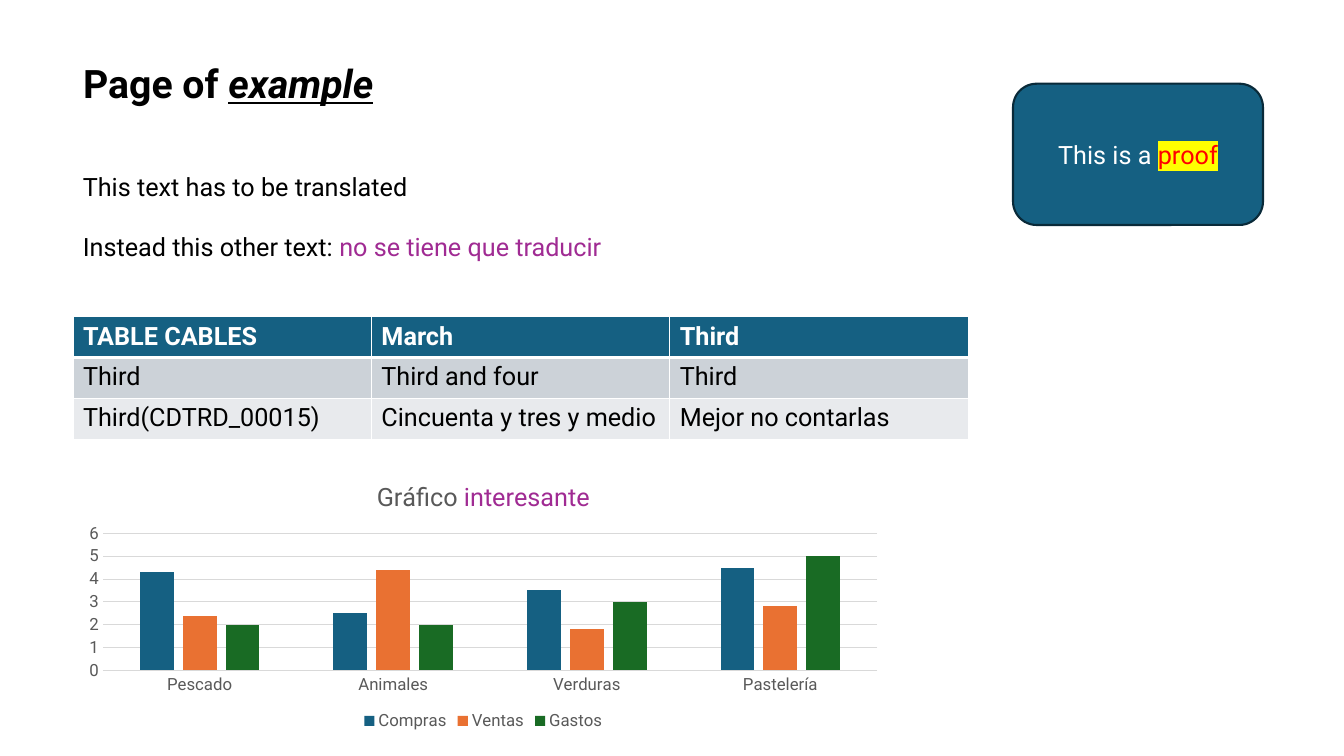
from lxml import etree
from pptx import Presentation
from pptx.chart.data import CategoryChartData
from pptx.dml.color import RGBColor
from pptx.enum.chart import XL_CHART_TYPE, XL_LEGEND_POSITION, XL_TICK_MARK
from pptx.enum.shapes import MSO_SHAPE
from pptx.enum.text import MSO_ANCHOR, MSO_AUTO_SIZE, PP_ALIGN
from pptx.oxml.ns import qn
from pptx.util import Cm, Pt

COLUMNS = XL_CHART_TYPE.COLUMN_CLUSTERED
LEGEND_BOTTOM = XL_LEGEND_POSITION.BOTTOM
NO_TICKS = XL_TICK_MARK.NONE
ROUNDED = MSO_SHAPE.ROUNDED_RECTANGLE
TOP, MIDDLE = MSO_ANCHOR.TOP, MSO_ANCHOR.MIDDLE
LEFT, CENTER = PP_ALIGN.LEFT, PP_ALIGN.CENTER
FIXED = MSO_AUTO_SIZE.NONE

FONT = "Roboto"
BLACK, WHITE, BLUE, PURPLE = "000000", "FFFFFF", "156082", "A02B93"
GRAY, GRID = "595959", "D9D9D9"

TITLE = [("Page of ", BLACK), ("example", BLACK)]
LINES = [
    [("This text has to be translated", BLACK)],
    [("Instead this other text: ", BLACK), ("no se tiene que traducir", PURPLE)],
]
BADGE = [("This is a ", WHITE), ("proof", "FF0000")]
ROWS = [
    ("TABLE CABLES", "March", "Third"),
    ("Third", "Third and four", "Third"),
    ("Third(CDTRD_00015)", "Cincuenta y tres y medio", "Mejor no contarlas"),
]
ROW_FILLS = [BLUE, "CCD2D8", "E8EAED"]
CHART_TITLE = [("Gráfico ", GRAY), ("interesante", PURPLE)]
CATEGORIES = ["Pescado", "Animales", "Verduras", "Pastelería"]
SERIES = [
    ("Compras", BLUE, (4.3, 2.5, 3.5, 4.5)),
    ("Ventas", "E97132", (2.4, 4.4, 1.8, 2.8)),
    ("Gastos", "196B24", (2, 2, 3, 5)),
]

MARGIN = Cm(1.84)
COLUMN_WIDTH, ROW_HEIGHT = Cm(7.52), Cm(1.03)


def color(value):
    return RGBColor.from_string(value)


def style(font, size, value, bold=False):
    font.name = FONT
    font.size = Pt(size)
    font.bold = bold
    font.color.rgb = color(value)


def write(para, spans, size=18, bold=False):
    for text, value in spans:
        span = para.add_run()
        span.text = text
        style(span.font, size, value, bold)
    return span


def highlight(span, value):
    mark = etree.Element(qn("a:highlight"))
    etree.SubElement(mark, qn("a:srgbClr"), val=value)
    span.font.fill._xPr.find(qn("a:solidFill")).addnext(mark)


def border(cell, widths):
    properties = cell._tc.get_or_add_tcPr()
    for index, (side, width) in enumerate(widths.items()):
        line = etree.Element(qn("a:ln" + side), w=str(Pt(width)))
        fill = etree.SubElement(line, qn("a:solidFill"))
        etree.SubElement(fill, qn("a:srgbClr"), val=WHITE)
        properties.insert(index, line)


def add_title(page):
    title = page.shapes.title
    title.left, title.top, title.width, title.height = MARGIN, Cm(1.37), Cm(8.81), Cm(1.45)
    frame = title.text_frame
    frame.auto_size = FIXED
    frame.vertical_anchor = TOP
    para = frame.paragraphs[0]
    para.alignment = LEFT
    example = write(para, TITLE, 28, True)
    example.font.italic = True
    example.font.underline = True


def add_lines(page):
    box = page.shapes.add_textbox(MARGIN, Cm(4.19), Cm(14.3), Cm(3.33))
    frame = box.text_frame
    frame.word_wrap = True
    for index, spans in enumerate(LINES):
        para = frame.add_paragraph() if index else frame.paragraphs[0]
        para.space_before = Pt(21.5 if index else 0)
        write(para, spans)


def add_badge(page):
    badge = page.shapes.add_shape(ROUNDED, Cm(25.53), Cm(2.11), Cm(6.3), Cm(3.56))
    badge.shadow.inherit = False
    badge.fill.solid()
    badge.fill.fore_color.rgb = color(BLUE)
    badge.line.color.rgb = color("092A39")
    badge.line.width = Pt(1.5)
    badge.text_frame.vertical_anchor = MIDDLE
    para = badge.text_frame.paragraphs[0]
    para.alignment = CENTER
    highlight(write(para, BADGE), "FFFF00")


def add_cables_table(page):
    count = len(ROWS[0])
    table = page.shapes.add_table(
        len(ROWS), count, MARGIN, Cm(7.98), COLUMN_WIDTH * count, ROW_HEIGHT * len(ROWS)
    ).table
    for column in table.columns:
        column.width = COLUMN_WIDTH
    for row, texts in enumerate(ROWS):
        table.rows[row].height = ROW_HEIGHT
        header = row == 0
        for column, text in enumerate(texts):
            cell = table.cell(row, column)
            cell.fill.solid()
            cell.fill.fore_color.rgb = color(ROW_FILLS[row])
            border(cell, {"L": 1, "R": 1, "T": 3 if row == 1 else 1, "B": 3 if header else 1})
            write(cell.text_frame.paragraphs[0], [(text, WHITE if header else BLACK)], bold=header)


def add_spending_chart(page):
    data = CategoryChartData()
    data.categories = CATEGORIES
    for name, _, values in SERIES:
        data.add_series(name, values)
    chart = page.shapes.add_chart(COLUMNS, MARGIN, Cm(11.79), Cm(20.68), Cm(6.73), data).chart
    style(chart.font, 12, GRAY)
    chart.has_title = True
    write(chart.chart_title.text_frame.paragraphs[0], CHART_TITLE)
    chart.chart_title.include_in_layout = False
    chart.has_legend = True
    chart.legend.position = LEGEND_BOTTOM
    chart.legend.include_in_layout = False
    style(chart.legend.font, 12, GRAY)

    plot = chart.plots[0]
    plot.gap_width = 219
    plot.overlap = -27
    plot.vary_by_categories = False
    for series, (_, value, _) in zip(plot.series, SERIES):
        series.format.fill.solid()
        series.format.fill.fore_color.rgb = color(value)
        series.invert_if_negative = False

    for axis in (chart.category_axis, chart.value_axis):
        axis.major_tick_mark = NO_TICKS
        axis.minor_tick_mark = NO_TICKS
        style(axis.tick_labels.font, 12, GRAY)
    scale = chart.value_axis
    scale.minimum_scale, scale.maximum_scale, scale.major_unit = 0, 6, 1
    scale.format.line.fill.background()
    for line in (scale.major_gridlines.format.line, chart.category_axis.format.line):
        line.color.rgb = color(GRID)
        line.width = Pt(0.75)


def main():
    deck = Presentation()
    deck.slide_width, deck.slide_height = Cm(33.87), Cm(19.05)
    page = deck.slides.add_slide(deck.slide_layouts[5])
    add_title(page)
    add_lines(page)
    add_badge(page)
    add_cables_table(page)
    add_spending_chart(page)
    deck.save("out.pptx")


if __name__ == "__main__":
    main()
